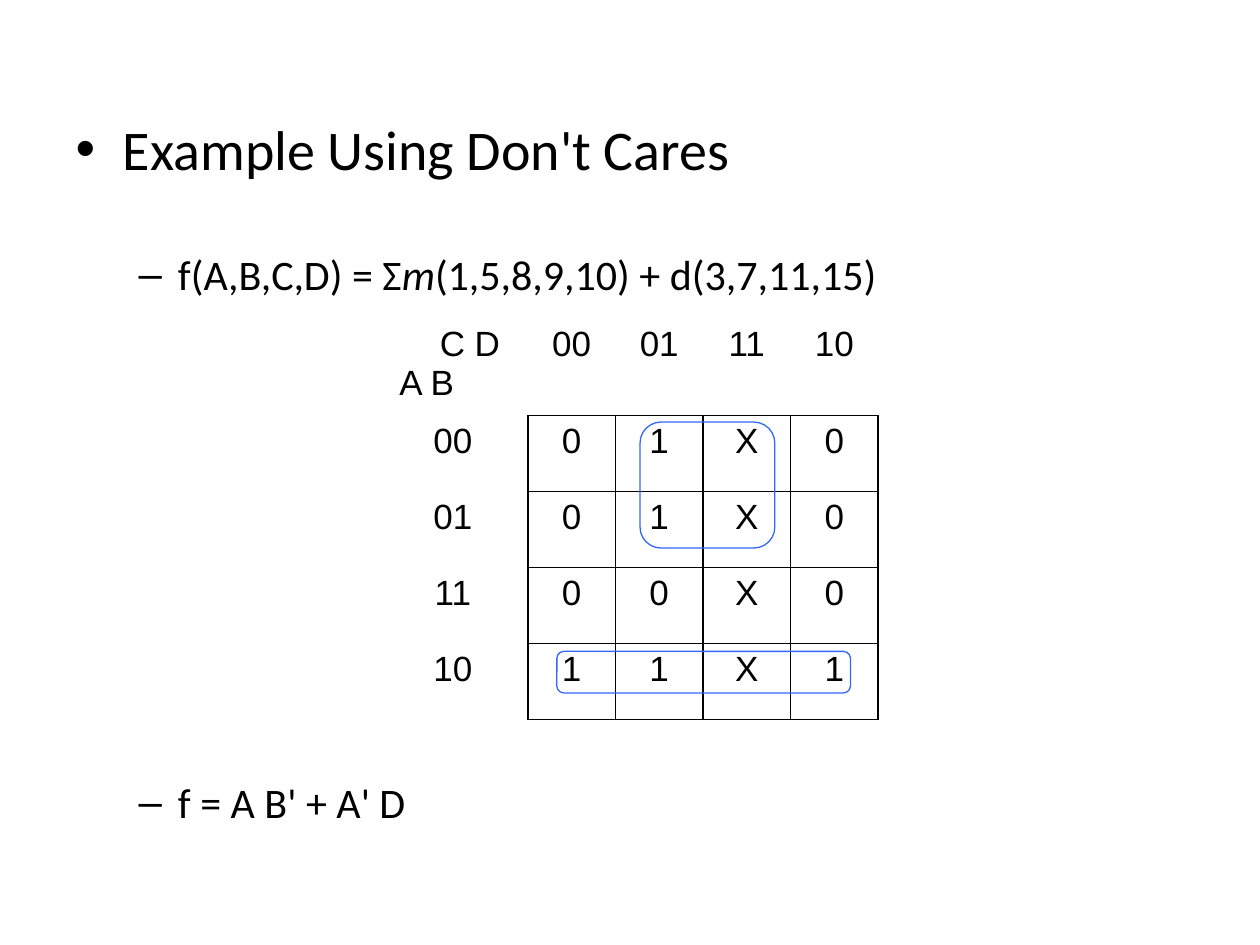
from lxml.etree import SubElement
from pptx import Presentation
from pptx.dml.color import RGBColor
from pptx.enum.shapes import MSO_SHAPE as Shape
from pptx.enum.text import MSO_AUTO_SIZE as Fit, PP_ALIGN as Align
from pptx.oxml.ns import qn
from pptx.util import Inches, Pt

BLACK, BLUE = "000000", "3366FF"

# level, size, space before, runs of (text, italic)
LINES = [
    (0, 32, 0, [("Example Using Don't Cares", False)]),
    (1, 24, 38, [("f(A,B,C,D) = Σ", False), ("m", True),
                 ("(1,5,8,9,10) + d(3,7,11,15)", False)]),
    (1, 24, 273, [("f = A B' + A' D", False)]),
]
CORNER = [("C D", 0.39), ("A B", 0.07)]  # text, indent
CODES = ["00", "01", "11", "10"]
VALUES = ["01X0", "01X0", "00X0", "11X1"]
LOOPS = [(4.42, 5.17, 2.33, 0.33), (5.08, 3.35, 1.07, 1)]

LEFT, TOP = 3, 2.53
LABEL_W, HEAD_H = 1.19, 0.77
CELL_W, CELL_H = 2.78 / 4, 2.41 / 4


def color(value):
    return RGBColor.from_string(value)


def add_run(para, text, font, size, italic=False):
    run = para.add_run()
    run.text = text
    run.font.name, run.font.size = font, Pt(size)
    run.font.italic = italic
    run.font.color.rgb = color(BLACK)


def set_edges(cell, drawn):
    """Draw the named sides (L, R, T, B) in black and hide the others."""
    props = cell._tc.get_or_add_tcPr()
    for side in "LRTB":
        line = SubElement(props, qn(f"a:ln{side}"), w=str(Pt(1)))
        if side in drawn:
            fill = SubElement(line, qn("a:solidFill"))
            SubElement(fill, qn("a:srgbClr"), val=BLACK)
        else:
            SubElement(line, qn("a:noFill"))
    cell.fill.background()


def add_body(slide):
    body = slide.placeholders[1]
    body.left, body.top = Inches(0.5), Inches(0.86)
    body.width, body.height = Inches(9), Inches(6.14)
    frame = body.text_frame
    frame.auto_size = Fit.NONE
    for i, (level, size, gap, runs) in enumerate(LINES):
        para = frame.add_paragraph() if i else frame.paragraphs[0]
        para.level, para.space_before = level, Pt(gap)
        for text, italic in runs:
            add_run(para, text, "Calibri", size, italic)


def add_map(slide):
    count = len(CODES) + 1
    table = slide.shapes.add_table(
        count, count, Inches(LEFT), Inches(TOP),
        Inches(LABEL_W + 4 * CELL_W), Inches(HEAD_H + 4 * CELL_H)).table
    table.first_row = table.horz_banding = False
    for i in range(count):
        table.columns[i].width = Inches(CELL_W if i else LABEL_W)
        table.rows[i].height = Inches(CELL_H if i else HEAD_H)

    rows = [[""] + CODES]
    rows += [[code, *vals] for code, vals in zip(CODES, VALUES)]
    for r, row in enumerate(rows):
        for c, text in enumerate(row):
            cell = table.cell(r, c)
            if r and c:
                set_edges(cell, "LRTB")
            else:
                set_edges(cell, "R" if r else "B" if c else "")
            if text:
                para = cell.text_frame.paragraphs[0]
                para.alignment = Align.CENTER
                add_run(para, text, "Arial", 20)

    frame = table.cell(0, 0).text_frame
    for i, (text, indent) in enumerate(CORNER):
        para = frame.add_paragraph() if i else frame.paragraphs[0]
        para._p.get_or_add_pPr().set("marL", str(Inches(indent)))
        add_run(para, text, "Arial", 20)


def add_loops(slide):
    for box in LOOPS:
        loop = slide.shapes.add_shape(
            Shape.ROUNDED_RECTANGLE, *(Inches(n) for n in box))
        loop.shadow.inherit = False
        loop.fill.background()
        loop.line.color.rgb = color(BLUE)
        loop.line.width = Pt(0.75)


def main():
    deck = Presentation()
    deck.slide_width, deck.slide_height = Inches(10), Inches(7.5)
    slide = deck.slides.add_slide(deck.slide_layouts[1])
    title = slide.shapes.title.element
    title.getparent().remove(title)
    add_body(slide)
    add_map(slide)
    add_loops(slide)
    deck.save("out.pptx")


if __name__ == "__main__":
    main()
